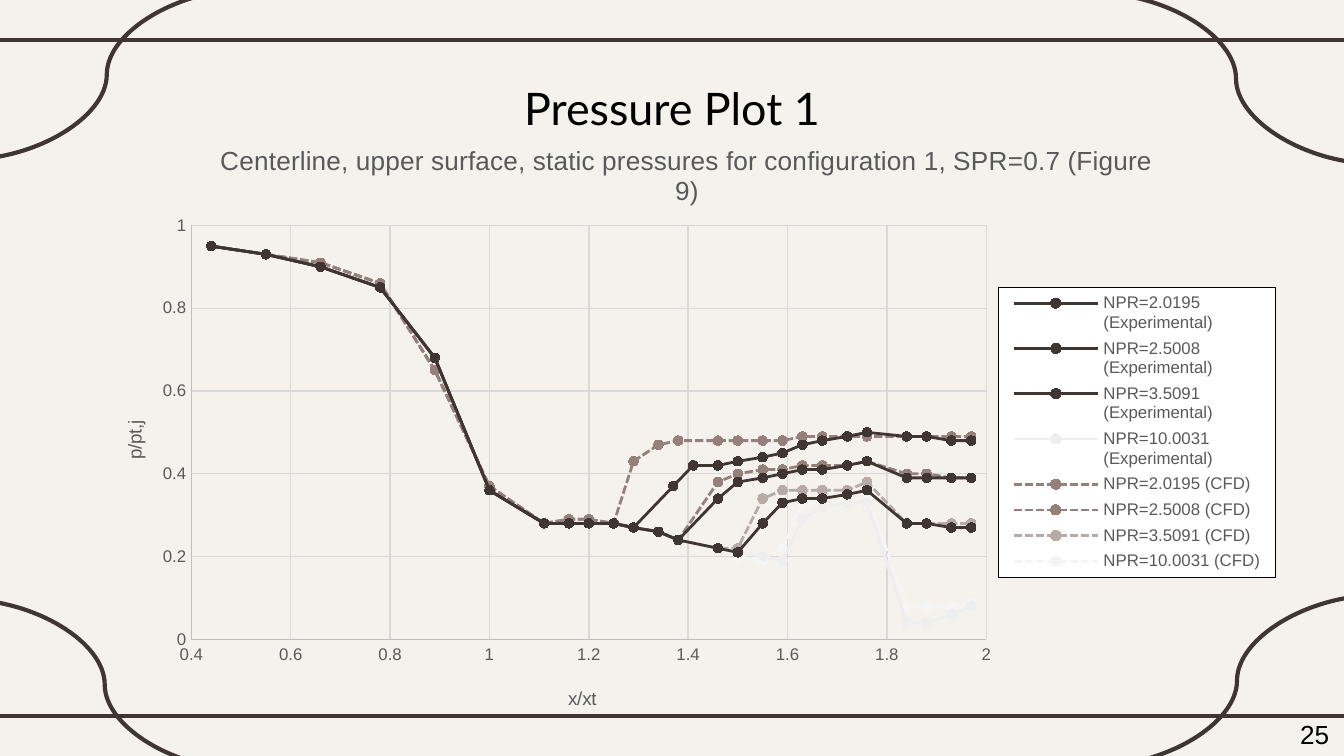
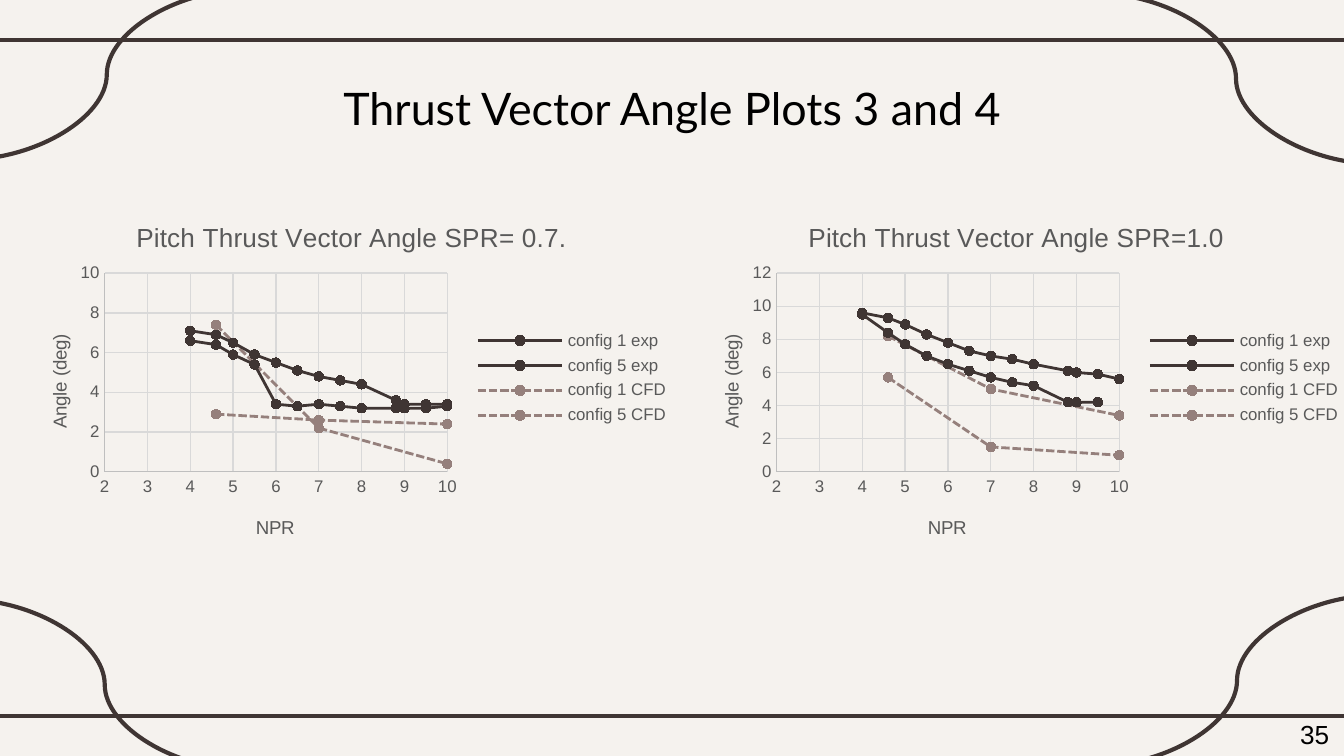
from dataclasses import dataclass

from lxml import etree
from pptx import Presentation
from pptx import util as u
from pptx.chart import data as chart_data
from pptx.dml.color import RGBColor
from pptx.enum import chart as ce
from pptx.enum import dml, shapes, text
from pptx.oxml import parse_xml
from pptx.oxml.ns import nsdecls, qn

COLOURS = {
    "paper": "F5F2EE", "ink": "3F3533", "black": "000000", "label": "595959",
    "axis": "BFBFBF", "grid": "D9D9D9", "rose": "95807C",
    "pale rose": "B8AAA7", "mist": "EEEEEE", "frost": "F5F5F5",
}
BODY_FONT, TITLE_FONT = "Arial", "Lato"


@dataclass
class Rule:
    kind: shapes.MSO_CONNECTOR
    start: tuple[float, float]
    end: tuple[float, float]


@dataclass
class Curve:
    name: str
    xs: list[float]
    ys: list[float]
    colour: str
    dashed: bool = False


@dataclass
class Axis:
    title: str
    title_at: tuple[float, float]
    low: float | None
    high: float | None
    step: float


@dataclass
class Plot:
    box: tuple[float, float, float, float]
    title: str
    title_at: tuple[float, float]
    inner: tuple[float, float, float, float]
    x_axis: Axis
    y_axis: Axis
    curves: list[Curve]
    smooth: bool = True
    legend_box: tuple[float, float, float, float] | None = None


# Frame shared by both slides, in cm
STRAIGHT, CURVED = shapes.MSO_CONNECTOR.STRAIGHT, shapes.MSO_CONNECTOR.CURVE
FRAME = [
    Rule(STRAIGHT, (-0.2, 0.76), (25.6, 0.76)),
    Rule(STRAIGHT, (-0.2, 13.54), (25.6, 13.54)),
    Rule(CURVED, (-0.69, 11.33), (4.65, 14.55)),
    Rule(CURVED, (20.68, -0.13), (26.04, 3.1)),
    Rule(CURVED, (26.06, 11.25), (20.7, 14.48)),
    Rule(CURVED, (4.7, -0.2), (-0.66, 3.02)),
]


def spread(first: float, last: float, count: int) -> list[float]:
    """Evenly spaced values from first to last."""
    return [round(first + (last - first) * i / (count - 1), 2) for i in range(count)]


# Pressure data: each curve follows its baseline until the flow separates
STATIONS = (spread(0.44, 1.11, 7) + spread(1.16, 1.38, 6)
            + spread(1.46, 1.76, 8) + spread(1.84, 1.97, 4))
EARLY_STATIONS = STATIONS[:11] + [1.37, 1.41] + STATIONS[13:]
THROAT = [0.27, 0.26, 0.24, 0.22, 0.21]
EXP = [0.95, 0.93, 0.9, 0.85, 0.68, 0.36] + [0.28] * 4 + THROAT
CFD = [0.95, 0.93, 0.91, 0.86, 0.65, 0.37, 0.28, 0.29, 0.29, 0.28] + THROAT
PRESSURES = [
    Curve("NPR=2.0195 (Experimental)", EARLY_STATIONS,
          EXP[:11] + [0.37, 0.42] + spread(0.42, 0.5, 8) + spread(0.49, 0.48, 4), "ink"),
    Curve("NPR=2.5008 (Experimental)", STATIONS,
          EXP[:13] + [0.34] + spread(0.38, 0.43, 7) + [0.39] * 4, "ink"),
    Curve("NPR=3.5091 (Experimental)", STATIONS,
          EXP + [0.28] + spread(0.33, 0.36, 5) + spread(0.28, 0.27, 4), "ink"),
    Curve("NPR=10.0031 (Experimental)", STATIONS,
          EXP + [0.2, 0.19, 0.29, 0.32, 0.33, 0.33, 0.04, 0.04, 0.06, 0.08], "mist"),
    Curve("NPR=2.0195 (CFD)", STATIONS,
          CFD[:10] + [0.43, 0.47] + spread(0.48, 0.49, 9) + [0.49] * 4, "rose", True),
    Curve("NPR=2.5008 (CFD)", STATIONS,
          CFD[:13] + [0.38] + spread(0.4, 0.43, 7) + spread(0.4, 0.39, 4), "rose", True),
    Curve("NPR=3.5091 (CFD)", STATIONS,
          CFD[:14] + [0.22, 0.34] + [0.36] * 4 + [0.38] + [0.28] * 4, "pale rose", True),
    Curve("NPR=10.0031 (CFD)", STATIONS,
          CFD[:14] + [0.2, 0.19, 0.22] + [0.33] * 3 + [0.35] + [0.08] * 3 + [0.09],
          "frost", True),
]
PRESSURE_PLOT = Plot(
    (1.57, 2.16, 22.76, 11.68),
    "Centerline, upper surface, static pressures for configuration 1, SPR=0.7 (Figure 9)",
    (0.11, 0.04), (0.09, 0.18, 0.66, 0.67),
    Axis("x/xt", (0.4, 0.92), 0.4, 2, 0.2),
    Axis("p/pt,j", (0.03, 0.49), None, None, 0.2),
    PRESSURES, smooth=False, legend_box=(0.76, 0.28, 0.23, 0.47))

# Thrust vector angle data
NPR = [4, 4.6] + spread(5, 8, 7) + [8.8, 9, 9.5, 10]
CFD_NPR = [4.6, 7, 10]


def angle_plot(left: float, title: str, top_angle: float, exp_1: list[float],
               exp_5: list[float], cfd_1: list[float], cfd_5: list[float]) -> Plot:
    curves = [Curve("config 1 exp", NPR, exp_1, "ink"),
              Curve("config 5 exp", NPR, exp_5, "ink"),
              Curve("config 1 CFD", CFD_NPR, cfd_1, "rose", True),
              Curve("config 5 CFD", CFD_NPR, cfd_5, "rose", True)]
    return Plot((left, 3.73, 12.7, 6.83), title, (0.18, 0.05), (0.14, 0.21, 0.51, 0.55),
                Axis("NPR", (0.36, 0.87), 2, 10, 1),
                Axis("Angle (deg)", (0.05, 0.37), 0, top_angle, 2), curves)


ANGLE_PLOTS = [
    angle_plot(0.2, "Pitch Thrust Vector Angle SPR= 0.7.", 10,
               [7.1, 6.9, 6.5, 5.9, 5.5, 5.1, 4.8, 4.6, 4.4, 3.6] + [3.4] * 3,
               [6.6, 6.4, 5.9, 5.4, 3.4, 3.3, 3.4, 3.3] + [3.2] * 4 + [3.3],
               [2.9, 2.6, 2.4], [7.4, 2.2, 0.4]),
    angle_plot(12.9, "Pitch Thrust Vector Angle SPR=1.0", 12,
               [9.6, 9.3, 8.9, 8.3, 7.8, 7.3, 7, 6.8, 6.5, 6.1, 6, 5.9, 5.6],
               [9.5, 8.4, 7.7, 7, 6.5, 6.1, 5.7, 5.4, 5.2] + [4.2] * 3,
               [8.2, 5, 3.4], [5.7, 1.5, 1]),
]


def rgb(name: str) -> RGBColor:
    return RGBColor.from_string(COLOURS[name])


def style_font(font, size: float, colour: str, face: str = BODY_FONT) -> None:
    font.size, font.name, font.bold = u.Pt(size), face, False
    font.color.rgb = rgb(colour)


def style_line(line, colour: str, width: float) -> None:
    line.color.rgb = rgb(colour)
    line.width = u.Pt(width)


def place(part, after: str, fractions: tuple[float, ...], inner: bool = False) -> None:
    """Give a chart part a manual layout, as fractions of the chart."""
    for old in part.findall(qn("c:layout")):
        part.remove(old)
    layout = etree.Element(qn("c:layout"))
    manual = etree.SubElement(layout, qn("c:manualLayout"))
    settings = [("layoutTarget", "inner")] if inner else []
    settings += [("xMode", "edge"), ("yMode", "edge")]
    settings += list(zip("xywh", map(str, fractions)))
    for tag, value in settings:
        etree.SubElement(manual, qn(f"c:{tag}")).set("val", value)
    before = part.find(qn(after)) if after else None
    if before is None:
        part.insert(0, layout)
    else:
        before.addnext(layout)


def set_title(title, wording: str, size: float, at: tuple[float, float]) -> None:
    paragraph = title.text_frame.paragraphs[0]
    paragraph.text = wording
    style_font(paragraph.runs[0].font, size, "label")
    place(title._element, "c:tx", at)


def style_axis(axis, look: Axis) -> None:
    axis.has_title = True
    set_title(axis.axis_title, look.title, 10, look.title_at)
    axis.minimum_scale, axis.maximum_scale = look.low, look.high
    axis.major_unit = look.step
    axis.major_tick_mark = axis.minor_tick_mark = ce.XL_TICK_MARK.NONE
    axis.has_major_gridlines = True
    style_line(axis.major_gridlines.format.line, "grid", 0.75)
    style_line(axis.format.line, "axis", 0.75)
    style_font(axis.tick_labels.font, 9, "label")


def style_series(series, curve: Curve, smooth: bool) -> None:
    series.smooth = smooth
    style_line(series.format.line, curve.colour, 1.5)
    if curve.dashed:
        series.format.line.dash_style = dml.MSO_LINE.SQUARE_DOT
    series.marker.style = ce.XL_MARKER_STYLE.CIRCLE
    series.marker.size = 5
    series.marker.format.fill.solid()
    series.marker.format.fill.fore_color.rgb = rgb(curve.colour)
    style_line(series.marker.format.line, curve.colour, 0.75)


def add_plot(slide, plot: Plot) -> None:
    points = chart_data.XyChartData()
    for curve in plot.curves:
        series = points.add_series(curve.name)
        for x, y in zip(curve.xs, curve.ys):
            series.add_data_point(x, y)
    kind = ce.XL_CHART_TYPE.XY_SCATTER_SMOOTH if plot.smooth else ce.XL_CHART_TYPE.XY_SCATTER_LINES
    chart = slide.shapes.add_chart(kind, *map(u.Cm, plot.box), points).chart
    style_font(chart.font, 10, "black")
    chart.plots[0].vary_by_categories = False
    chart.has_title = True
    set_title(chart.chart_title, plot.title, 14, plot.title_at)
    style_axis(chart.category_axis, plot.x_axis)
    style_axis(chart.value_axis, plot.y_axis)
    for series, curve in zip(chart.plots[0].series, plot.curves):
        style_series(series, curve, plot.smooth)
    place(chart._chartSpace.find(".//" + qn("c:plotArea")), "", plot.inner, inner=True)

    # Legend, boxed when it has a set place
    chart.has_legend = True
    legend = chart.legend
    legend.position = ce.XL_LEGEND_POSITION.RIGHT
    legend.include_in_layout = False
    style_font(legend.font, 9, "label")
    if plot.legend_box:
        place(legend._element, "c:legendPos", plot.legend_box)
        legend._element.find(qn("c:overlay")).addnext(parse_xml(
            f'<c:spPr {nsdecls("c", "a")}><a:solidFill><a:srgbClr val="FFFFFF"/></a:solidFill>'
            '<a:ln w="9525"><a:solidFill><a:srgbClr val="000000"/></a:solidFill></a:ln></c:spPr>'))


def add_label(slide, box: tuple[float, ...], wording: str, size: float, face: str,
              wrap: bool) -> None:
    frame = slide.shapes.add_textbox(*map(u.Cm, box)).text_frame
    frame.word_wrap = wrap
    if not wrap:
        frame.auto_size = text.MSO_AUTO_SIZE.SHAPE_TO_FIT_TEXT
    frame.vertical_anchor = text.MSO_ANCHOR.MIDDLE
    paragraph = frame.paragraphs[0]
    paragraph.text = wording
    paragraph.alignment = text.PP_ALIGN.CENTER
    style_font(paragraph.runs[0].font, size, "black", face)


def add_slide(deck, title: str, number: str, plots: list[Plot]) -> None:
    slide = deck.slides.add_slide(deck.slide_layouts[6])
    slide.background.fill.solid()
    slide.background.fill.fore_color.rgb = rgb("paper")
    for rule in FRAME:
        edge = slide.shapes.add_connector(rule.kind, *map(u.Cm, rule.start + rule.end))
        style_line(edge.line, "ink", 2.25)
        etree.SubElement(edge._element.spPr, qn("a:effectLst"))
    for plot in plots:
        add_plot(slide, plot)
    add_label(slide, (1.98, 1.24, 21.44, 1.6), title, 24, TITLE_FONT, True)
    add_label(slide, (24.31, 13.44, 1.07, 0.86), number, 14, BODY_FONT, False)


def main() -> None:
    deck = Presentation()
    deck.slide_width, deck.slide_height = u.Cm(25.4), u.Cm(14.29)
    add_slide(deck, "Pressure Plot 1", "25", [PRESSURE_PLOT])
    add_slide(deck, "Thrust Vector Angle Plots 3 and 4", "35", ANGLE_PLOTS)
    deck.save("out.pptx")


if __name__ == "__main__":
    main()
